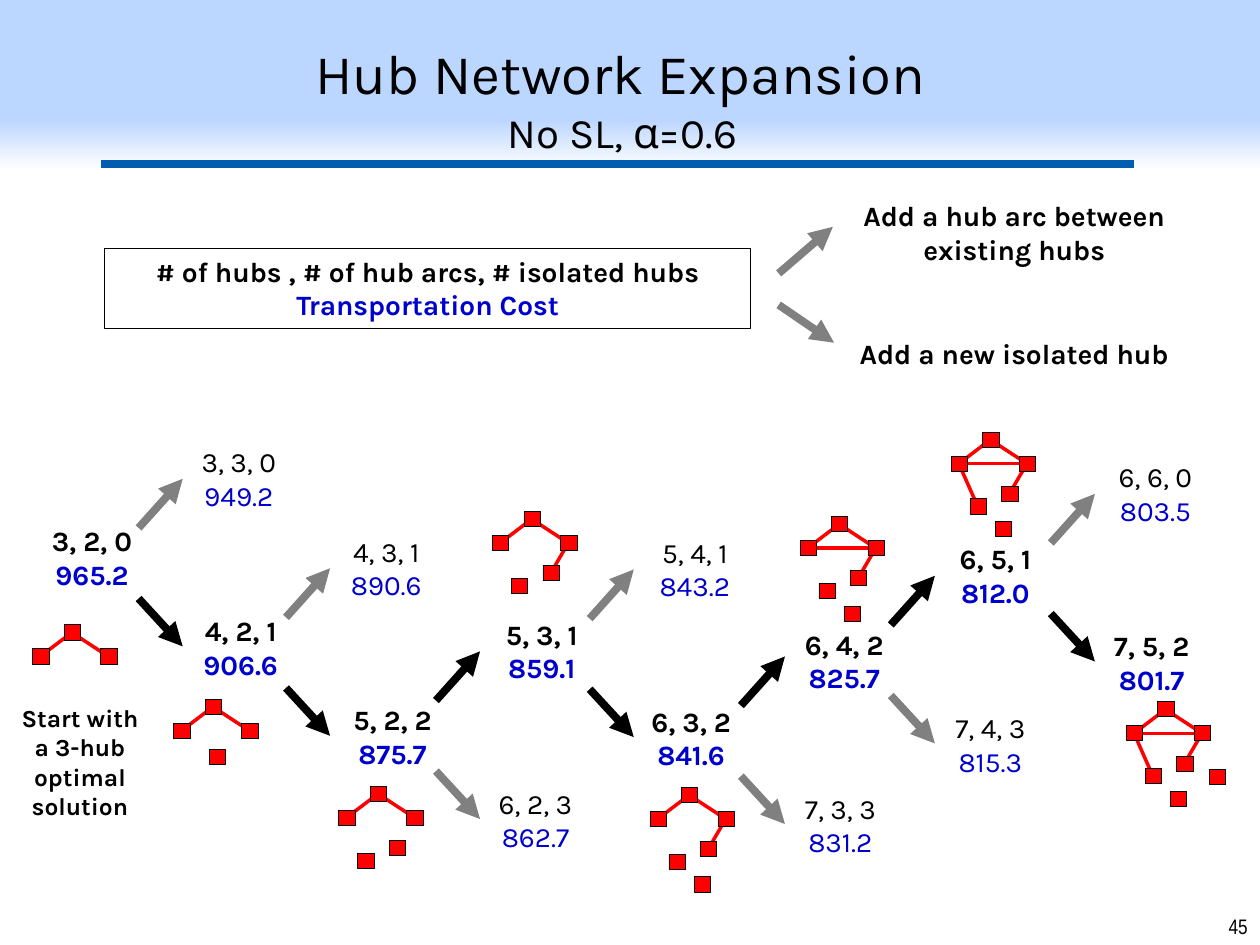
"""Build the hub network expansion slide."""
from lxml.etree import SubElement
from pptx import Presentation
from pptx.dml.color import RGBColor as RGB
from pptx.enum.shapes import MSO_CONNECTOR as CONN, MSO_SHAPE as SHAPE
from pptx.enum.text import MSO_ANCHOR as ANCHOR, PP_ALIGN as ALIGN
from pptx.oxml.ns import qn
from pptx.util import Pt

SCALE = 9144
COLORS = {
    "text": "000000", "cost": "0000CC", "hub": "FF0000", "chosen": "000000",
    "other": "808080", "rule": "005DB0", "band": "5E9EFF",
}
HUB_W, HUB_H = 13, 12
HUBS = {
    "top": (0, 0), "left": (-25, 19), "right": (29, 19), "low_right": (15, 43),
    "low_left": (-10, 53), "bottom": (10, 71), "far": (41, 54), "middle": (3, 40),
}
ARCS = [("top", "left"), ("top", "right"), ("right", "low_right"),
        ("left", "right"), ("left", "low_left")]
NETWORKS = [
    (51, 496, 3, 2), (163, 555, 4, 2), (294, 624, 5, 2), (416, 406, 5, 3),
    (541, 625, 6, 3), (660, 410, 6, 4), (780, 343, 6, 5), (919, 557, 7, 5),
]
STAGES = [
    (145, 348, 0, ("3, 3, 0", "949.2", 89), ("4, 2, 1", "906.6", 92), 1),
    (262, 419, 0, ("4, 3, 1", "890.6", 89), ("5, 2, 2", "875.7", 99), 1),
    (381, 485, 0, ("5, 3, 1", "859.1", 98), ("6, 2, 3", "862.7", 88), 0),
    (503, 420, 0, ("5, 4, 1", "843.2", 97), ("6, 3, 2", "841.6", 91), 1),
    (623, 489, 4, ("6, 4, 2", "825.7", 94), ("7, 3, 3", "831.2", 88), 0),
    (742, 425, 0, ("6, 5, 1", "812.0", 96), ("7, 4, 3", "815.3", 88), 0),
    (869, 360, 0, ("6, 6, 0", "803.5", 96), ("7, 5, 2", "801.7", 90), 1),
]


def px(*values):
    """Turn px lengths into EMU."""
    return [v * SCALE for v in values]


def rgb(name):
    """Look up a named colour."""
    return RGB.from_string(COLORS[name])


def write(p, text, size=16, bold=False, color="text", font="Karla", align=ALIGN.CENTER):
    """Append a formatted run to a paragraph."""
    p.alignment = align
    r = p.add_run()
    r.text = text
    r.font.size, r.font.bold, r.font.name = Pt(size), bold, font
    r.font.color.rgb = rgb(color)


def fill_lines(sp, lines, **fmt):
    """Write (text, colour) lines as paragraphs of a shape."""
    tf = sp.text_frame
    tf.word_wrap = True
    tf.vertical_anchor = ANCHOR.TOP
    for i, (text, color) in enumerate(lines):
        p = tf.add_paragraph() if i else tf.paragraphs[0]
        write(p, text, color=color, **fmt)


def add_label(slide, box, *lines, **fmt):
    """Add a text box holding the given lines."""
    fill_lines(slide.shapes.add_textbox(*px(*box)), lines, **fmt)


def add_rect(slide, box, fill=None, line=None):
    """Add a rectangle with an optional fill and black outline width."""
    sp = slide.shapes.add_shape(SHAPE.RECTANGLE, *px(*box))
    sp.shadow.inherit = False
    if fill:
        sp.fill.solid()
        sp.fill.fore_color.rgb = rgb(fill)
    else:
        sp.fill.background()
    if line:
        sp.line.color.rgb = rgb("text")
        sp.line.width = Pt(line)
    else:
        sp.line.fill.background()
    return sp


def add_line(slide, start, end, color, width=4.5, arrow=False):
    """Add a straight line, with an arrowhead at its end if asked."""
    cx = slide.shapes.add_connector(CONN.STRAIGHT, *px(*start, *end))
    cx.line.color.rgb = rgb(color)
    cx.line.width = Pt(width)
    if arrow:
        SubElement(cx.line._get_or_add_ln(), qn("a:tailEnd"), type="triangle")
    SubElement(cx._element.spPr, qn("a:effectLst"))


def add_header(slide, box):
    """Place the gradient band, the title and the rule below it."""
    x, y, w, h = box
    sp = add_rect(slide, box)
    sp.fill.gradient()
    sp.fill.gradient_angle = 90
    for stop, position in zip(sp.fill.gradient_stops, (0, 0.28)):
        stop.color.rgb = rgb("band")
        stop.position = position
    for clr, alpha in zip(sp._element.spPr.iter(qn("a:srgbClr")), (0, 40000)):
        SubElement(clr, qn("a:alpha"), val=str(alpha))

    title = slide.shapes.title
    title.left, title.top, title.width, title.height = px(x + 27, y + 26, w - 58, h - 30)
    title.text_frame.vertical_anchor = ANCHOR.MIDDLE
    p = title.text_frame.paragraphs[0]
    write(p, "Hub Network Expansion ", size=32)
    p.add_line_break()
    write(p, "No SL, α=0.6 ", size=24)
    slide.shapes._spTree.append(title._element)
    add_line(slide, (x + 80, y + h - 3), (x + w - 100, y + h - 3), "rule")


def add_legend(slide, box):
    """Explain the labels and the two kinds of step."""
    x, y, w, h = box
    sp = add_rect(slide, (x, y + 44, 513, 64), line=0.75)
    fill_lines(sp, [("# of hubs , # of hub arcs, # isolated hubs", "text"),
                    ("Transportation Cost", "cost")], bold=True)
    add_label(slide, (x + w - 289, y, 288, 64),
              ("Add a hub arc between existing hubs", "text"), bold=True)
    add_label(slide, (x + w - 290, y + h - 37, 290, 37),
              ("Add a new isolated hub", "text"), bold=True)
    add_line(slide, (x + 535, y + 64), (x + 578, y + 27), "other", arrow=True)
    add_line(slide, (x + 535, y + 89), (x + 579, y + 119), "other", arrow=True)


def add_node(slide, x, y, node, chosen):
    """Add a network's counts above its cost."""
    counts, cost, w = node
    add_label(slide, (x, y, w, 64), (counts, "text"), (cost, "cost"), bold=chosen)


def add_stage(slide, x, y, nudge, upper, lower, best):
    """Add the two options of a step and the arrows leading to them."""
    add_node(slide, x, y + nudge, upper, best == 0)
    add_node(slide, x, y + 134, lower, best == 1)
    for i, (start, end) in enumerate([(71, 32), (127, 165)]):
        add_line(slide, (x - 35, y + start), (x, y + end),
                 "chosen" if i == best else "other", arrow=True)


def add_network(slide, x, y, hubs, arcs):
    """Draw a network from the position of its top hub."""
    names = list(HUBS)[:hubs]
    if hubs == 4:
        names[-1] = "middle"
    spots = {n: (x + HUBS[n][0], y + HUBS[n][1]) for n in names}
    for pair in ARCS[:arcs]:
        start, end = [(spots[n][0] + HUB_W // 2, spots[n][1] + HUB_H // 2) for n in pair]
        add_line(slide, start, end, "hub", width=2)
    for spot in spots.values():
        add_rect(slide, (*spot, HUB_W, HUB_H), fill="hub", line=0.5)


def main():
    """Build and save the slide."""
    prs = Presentation()
    prs.slide_width, prs.slide_height = px(1000, 750)
    slide = prs.slides.add_slide(prs.slide_layouts[5])
    add_header(slide, (0, 0, 1000, 133))
    add_legend(slide, (83, 153, 867, 146))
    add_node(slide, 28, 411, ("3, 2, 0", "965.2", 90), True)
    for stage in STAGES:
        add_stage(slide, *stage)
    for network in NETWORKS:
        add_network(slide, *network)
    add_label(slide, (0, 553, 127, 104),
              ("Start with a 3-hub optimal solution", "text"), size=14, bold=True)
    add_label(slide, (878, 720, 122, 30), ("45", "text"),
              size=12, font="Arial Narrow", align=ALIGN.RIGHT)
    prs.save("out.pptx")


if __name__ == "__main__":
    main()
